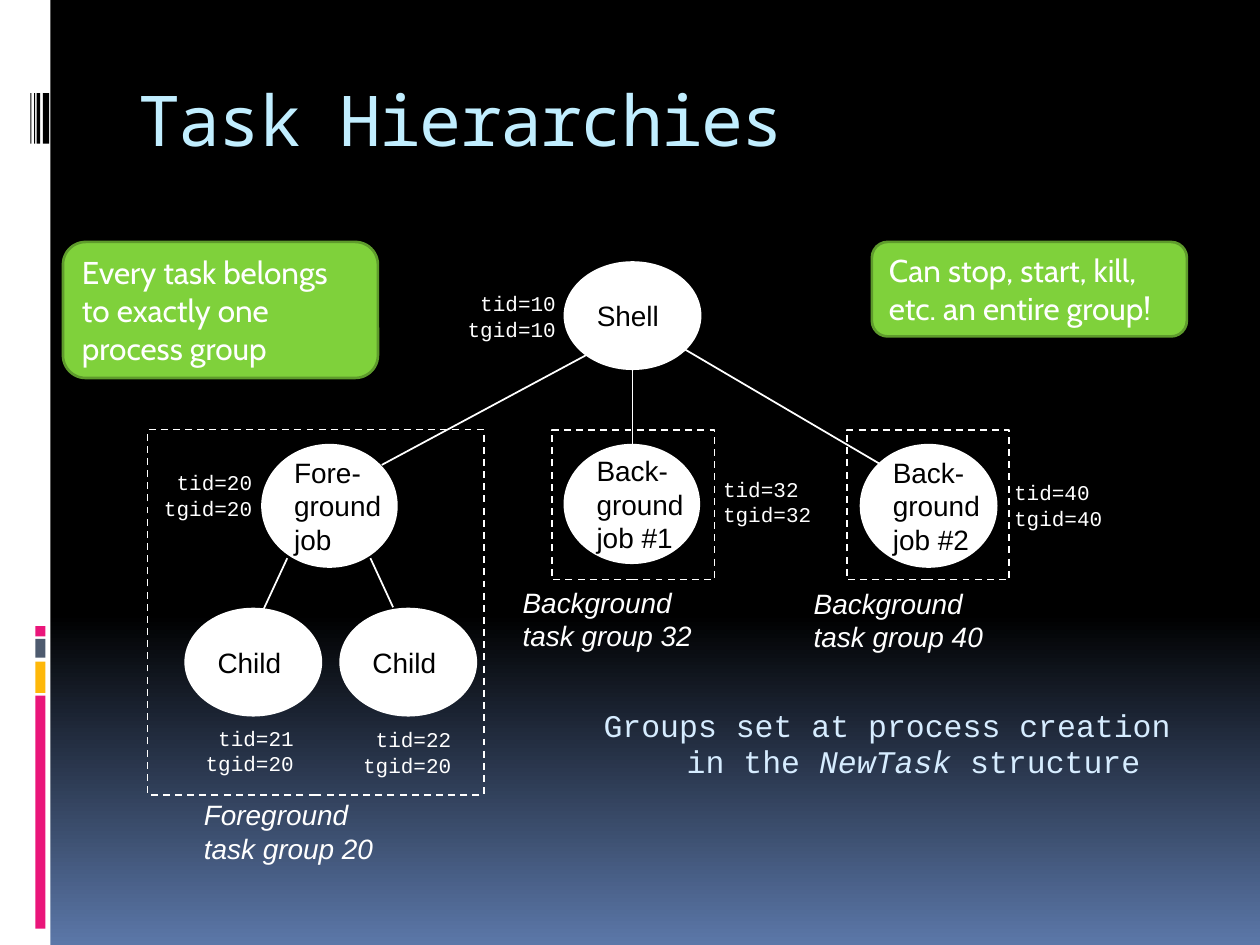
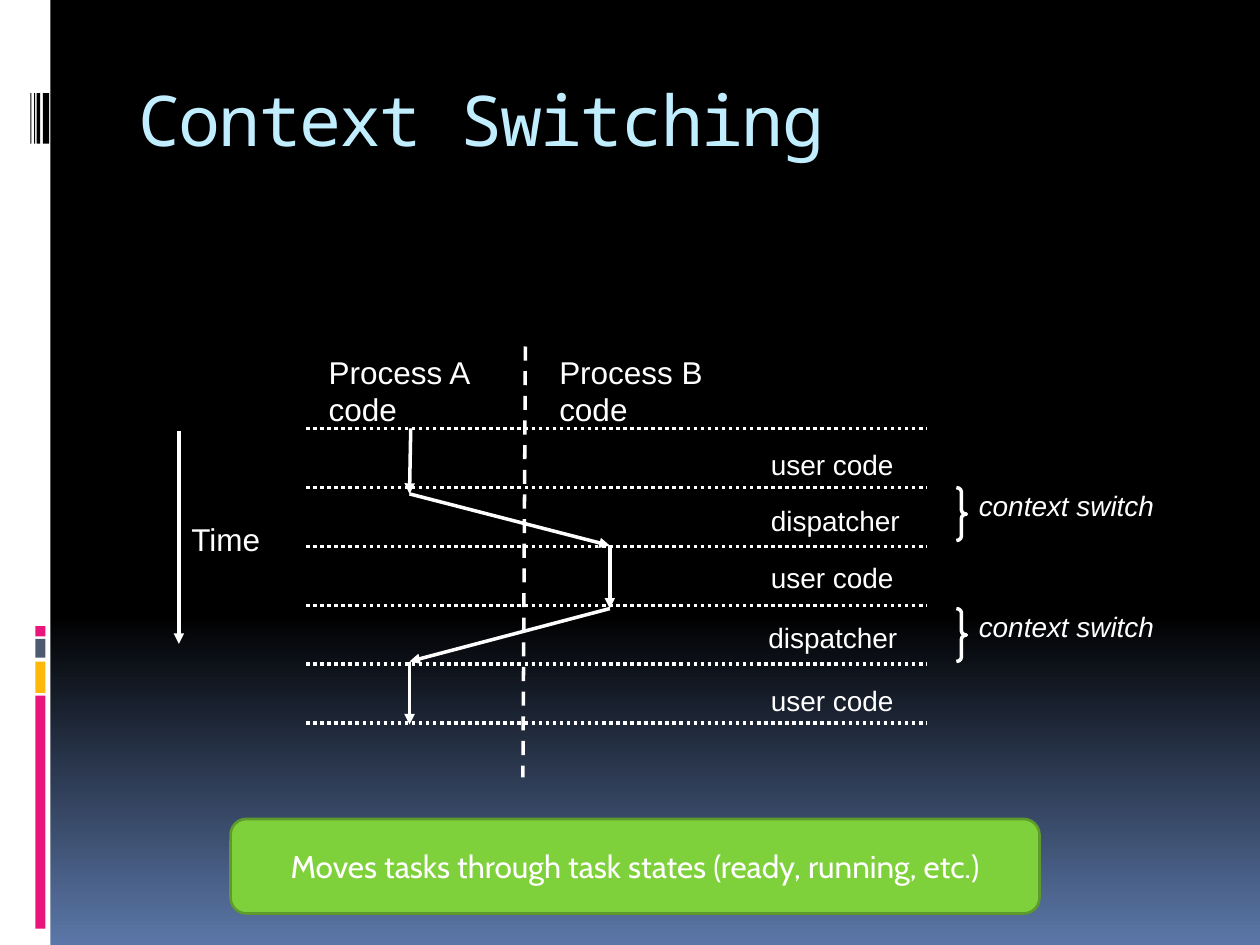
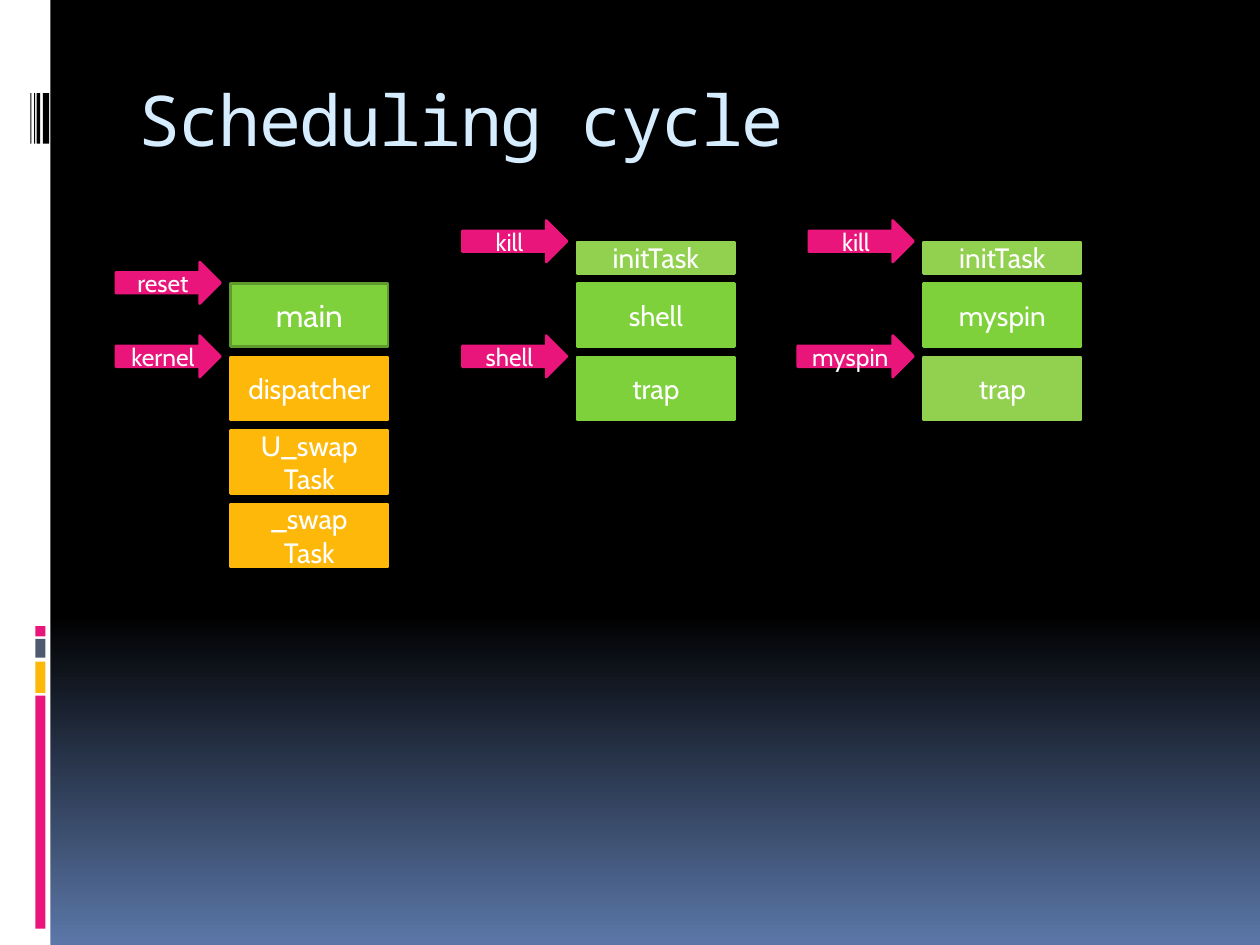
from dataclasses import dataclass, field, replace

from lxml import etree
from pptx import Presentation
from pptx.dml.color import RGBColor
from pptx.enum.dml import MSO_LINE
from pptx.enum.shapes import MSO_CONNECTOR, MSO_SHAPE
from pptx.enum.text import MSO_ANCHOR, MSO_AUTO_SIZE, PP_ALIGN
from pptx.oxml.ns import qn
from pptx.util import Inches, Pt

RECT = MSO_SHAPE.RECTANGLE
ROUND_RECT = MSO_SHAPE.ROUNDED_RECTANGLE
ELLIPSE = MSO_SHAPE.OVAL
ARROW = MSO_SHAPE.RIGHT_ARROW
BRACE = MSO_SHAPE.RIGHT_BRACE
STRAIGHT = MSO_CONNECTOR.STRAIGHT
DASH = MSO_LINE.DASH
DOTS = MSO_LINE.ROUND_DOT
LEFT, CENTER, RIGHT = PP_ALIGN.LEFT, PP_ALIGN.CENTER, PP_ALIGN.RIGHT
TOP, MIDDLE = MSO_ANCHOR.TOP, MSO_ANCHOR.MIDDLE
GROW = MSO_AUTO_SIZE.SHAPE_TO_FIT_TEXT

WHITE = RGBColor(0xFF, 0xFF, 0xFF)
BLACK = RGBColor(0x00, 0x00, 0x00)
BLUE = RGBColor(0x5B, 0x77, 0xA8)
PALE_BLUE = RGBColor(0xD6, 0xEC, 0xFF)
SKY = RGBColor(0xC1, 0xEE, 0xFF)
SLATE = RGBColor(0x4E, 0x5B, 0x6F)
PINK = RGBColor(0xEA, 0x15, 0x7A)
AMBER = RGBColor(0xFE, 0xB8, 0x0A)
GREEN = RGBColor(0x7F, 0xD1, 0x3B)
DARK_GREEN = RGBColor(0x5E, 0x9B, 0x2C)
LIME = RGBColor(0x92, 0xD0, 0x50)


@dataclass
class TextStyle:
    name: str
    size: int
    colour: RGBColor = WHITE
    italic: bool = False
    paragraph: dict = field(default_factory=lambda: {"alignment": LEFT})
    frame: dict = field(default_factory=lambda: {"word_wrap": True, "vertical_anchor": MIDDLE})


CENTRED = {"alignment": CENTER}
FITTED = {"word_wrap": False, "vertical_anchor": TOP, "auto_size": GROW}
FITTED_MIDDLE = {**FITTED, "vertical_anchor": MIDDLE}
WRAPPED = {"word_wrap": True, "vertical_anchor": TOP}

TITLE = TextStyle("Noto Sans Mono", 40, SKY, frame=WRAPPED)
NODE = TextStyle("Arial", 16, BLACK, frame={"word_wrap": False, "vertical_anchor": MIDDLE})
GROUP = TextStyle("Arial", 16, italic=True, frame=FITTED_MIDDLE)
IDS = TextStyle("Courier New", 12, frame=FITTED_MIDDLE)
IDS_RIGHT = replace(IDS, paragraph={"alignment": RIGHT})
NOTE = TextStyle("Courier New", 18, PALE_BLUE, frame=WRAPPED,
                 paragraph={"alignment": CENTER, "line_spacing": 0.95})
CALLOUT = TextStyle("Cabin", 18)
CALLOUT_CENTRED = replace(CALLOUT, paragraph=CENTRED)
BLOCK = replace(CALLOUT_CENTRED, size=16)
POINTER = replace(CALLOUT_CENTRED, size=14)
HEADING = TextStyle("Arial", 18, frame=FITTED)
STEP = replace(HEADING, size=16)
SWITCH = replace(STEP, italic=True)


def assign(target, values):
    for name, value in values.items():
        setattr(target, name, value)


class Deck:
    BANDS = [
        (0, 0, 0.4, 7.5, WHITE),
        (0.28, 5.52, 0.08, 1.85, PINK),
        (0.28, 5.25, 0.08, 0.25, AMBER),
        (0.28, 5.07, 0.08, 0.15, SLATE),
        (0.28, 4.97, 0.08, 0.08, PINK),
        (0.34, 0.74, 0.05, 0.4, BLACK),
        (0.29, 0.74, 0.03, 0.4, BLACK),
        (0.27, 0.74, 0.01, 0.4, BLACK),
        (0.24, 0.74, 0.01, 0.4, BLACK),
    ]

    def __init__(self):
        self.presentation = Presentation()
        assign(self.presentation, {"slide_width": Inches(10), "slide_height": Inches(7.5)})
        self.slide = None

    def new_slide(self, title, colour=SKY):
        self.slide = self.presentation.slides.add_slide(self.presentation.slide_layouts[6])
        backdrop = self.slide.background.fill
        backdrop.gradient()
        backdrop.gradient_angle = 270
        for stop, (position, shade) in zip(backdrop.gradient_stops, [(0.65, BLACK), (1, BLUE)]):
            stop.position = position
            stop.color.rgb = shade
        for *place, fill in self.BANDS:
            self.shape(RECT, place, fill)
        heading = self.text((1, 0.56, 8.5, 1), [title], replace(TITLE, colour=colour))
        heading.paragraphs[0].runs[0].font._element.set("spc", "-100")

    def fill_text(self, frame, lines, style):
        assign(frame, style.frame)
        for number, line in enumerate(lines):
            paragraph = frame.add_paragraph() if number else frame.paragraphs[0]
            assign(paragraph, style.paragraph)
            runs = [(line, style.italic)] if isinstance(line, str) else line
            for words, italic in runs:
                run = paragraph.add_run()
                run.text = words
                assign(run.font, {"name": style.name, "size": Pt(style.size), "italic": italic})
                run.font.color.rgb = style.colour
        return frame

    def text(self, place, lines, style):
        box = self.slide.shapes.add_textbox(*map(Inches, place))
        return self.fill_text(box.text_frame, lines, style)

    def stroke(self, line, colour, weight, dash=None):
        line.color.rgb = colour
        assign(line, {"width": Pt(weight), "dash_style": dash})

    def shape(self, kind, place, fill=None, edge=None, weight=1.0, dash=None,
              lines=(), style=None, adjust=()):
        shape = self.slide.shapes.add_shape(kind, *map(Inches, place))
        shape.shadow.inherit = False
        for number, value in enumerate(adjust):
            shape.adjustments[number] = value
        if fill is None:
            shape.fill.background()
        else:
            shape.fill.solid()
            shape.fill.fore_color.rgb = fill
        if edge is None:
            shape.line.fill.background()
        else:
            self.stroke(shape.line, edge, weight, dash)
        if lines:
            self.fill_text(shape.text_frame, lines, style)

    def line(self, start, end, weight=1, dash=None, arrow=False):
        connector = self.slide.shapes.add_connector(STRAIGHT, *map(Inches, (*start, *end)))
        self.stroke(connector.line, WHITE, weight, dash)
        properties = connector._element.spPr
        if arrow:
            etree.SubElement(properties.find(qn("a:ln")), qn("a:tailEnd"), type="triangle")
        etree.SubElement(properties, qn("a:effectLst"))

    def node(self, place, lines):
        self.shape(ELLIPSE, place, WHITE, WHITE, lines=lines, style=NODE)

    def task_ids(self, left, top, task, group, style=IDS_RIGHT):
        self.text((left, top, 0.91, 0.5), [f"tid={task}", f"tgid={group}"], style)

    def task_group(self, frame, left, top, kind, number):
        self.shape(RECT, frame, edge=WHITE, dash=DASH)
        self.text((left, top, 1.56, 0.64), [kind, f"task group {number}"], GROUP)

    def callout(self, place, words, style=CALLOUT):
        self.shape(ROUND_RECT, place, GREEN, DARK_GREEN, 1.5, lines=[words], style=style)

    def block(self, place, fill, lines, edge=None, style=BLOCK):
        self.shape(RECT, place, fill, edge or fill, 1.5, lines=lines, style=style)

    def pointer(self, right, top, words, width=0.83):
        self.shape(ARROW, (right - width, top, width, 0.33), PINK, PINK, 1.5,
                   lines=[words], style=POINTER)


def task_hierarchies(deck):
    deck.new_slide("Task Hierarchies")
    for place, lines in [
        ((2.08, 3.53, 1.07, 0.97), ["Fore-", "ground", "job"]),
        ((4.48, 3.53, 1.07, 0.94), ["Back-", "ground", "job #1"]),
        ((6.83, 3.53, 1.08, 0.97), ["Back-", "ground", "job #2"]),
        ((4.48, 2.08, 1.08, 0.85), ["Shell"]),
        ((1.47, 4.83, 1.08, 0.85), ["Child"]),
        ((2.7, 4.83, 1.08, 0.85), ["Child"]),
    ]:
        deck.node(place, lines)
    for parent, child in [
        ((2.28, 4.43), (2.09, 4.84)),
        ((2.94, 4.43), (3.12, 4.82)),
        ((5.02, 2.92), (5.02, 3.53)),
        ((4.65, 2.82), (3.03, 3.69)),
        ((5.43, 2.77), (6.98, 3.68)),
    ]:
        deck.line(parent, child)
    deck.task_group((1.17, 3.41, 2.67, 2.9), 1.52, 6.28, "Foreground", 20)
    deck.task_group((4.38, 3.41, 1.29, 1.19), 4.05, 4.59, "Background", 32)
    deck.task_group((6.72, 3.41, 1.29, 1.19), 6.36, 4.6, "Background", 40)
    deck.task_ids(3.6, 2.26, 10, 10)
    deck.task_ids(1.19, 3.68, 20, 20)
    deck.task_ids(5.64, 3.73, 32, 32, IDS)
    deck.task_ids(7.95, 3.76, 40, 40, IDS)
    deck.task_ids(1.52, 5.71, 21, 20)
    deck.task_ids(2.77, 5.72, 22, 20)

    creation = [("Groups set at process creation in the ", False),
                ("NewTask", True), (" structure", False)]
    note = deck.text((4.58, 5.58, 4.92, 1.5), [creation], NOTE)
    properties = note.paragraphs[0]._p.get_or_add_pPr()
    for name, indent in {"marL": 0.42, "indent": -0.42}.items():
        properties.set(name, str(Inches(indent)))
    before = etree.SubElement(properties, qn("a:spcBef"))
    etree.SubElement(before, qn("a:spcPct"), val="50000")

    deck.callout((0.5, 1.92, 2.5, 1.08), "Every task belongs to exactly one process group")
    deck.callout((6.92, 1.92, 2.5, 0.75), "Can stop, start, kill, etc. an entire group!")


def context_switching(deck):
    deck.new_slide("Context Switching")
    for left, process in [(2.51, "Process A"), (4.34, "Process B")]:
        deck.text((left, 2.75, 1.42, 0.7), [process, "code"], HEADING)
    flow = [(3.25, 3.92), (4.84, 4.33), (4.84, 4.83), (3.25, 5.25), (3.25, 5.75)]
    for start, end in zip([(3.26, 3.4)] + flow, flow):
        deck.line(start, end, 2, arrow=True)
    deck.line((4.17, 2.75), (4.15, 6.17), 2, DASH)
    for left, top, step in [
        (6.02, 3.5, "user code"),
        (6.02, 3.95, "dispatcher"),
        (6.02, 4.4, "user code"),
        (6, 4.88, "dispatcher"),
        (6.02, 5.38, "user code"),
    ]:
        deck.text((left, top, 1.25, 0.37), [step], STEP)
    first, last, intervals = 3.4, 5.74, 5
    for number in range(intervals + 1):
        moment = first + number * (last - first) / intervals
        deck.line((2.43, moment), (7.35, moment), 2, DOTS)
    deck.line((1.42, 3.42), (1.42, 5.11), 2, arrow=True)
    deck.text((1.42, 4.08, 0.78, 0.4), ["Time"], HEADING)
    for top in (3.87, 4.83):
        deck.shape(BRACE, (7.59, top, 0.08, 0.42), edge=WHITE, weight=2, adjust=(0.42, 0.5))
        deck.text((7.67, top - 0.04, 1.74, 0.37), ["context switch"], SWITCH)
    deck.callout((1.83, 6.5, 6.42, 0.75),
                 "Moves tasks through task states (ready, running, etc.)", CALLOUT_CENTRED)


def scheduling_cycle(deck):
    deck.new_slide("Scheduling cycle", PALE_BLUE)
    kernel, shell, myspin = (1.83 + 2.75 * column for column in range(3))
    rows = [2.25 + 1.75 * row / 3 for row in range(4)]
    width, height, gap, rise = 1.25, 0.5, 0.08, 0.17

    deck.block((kernel, rows[0], width, height), GREEN, ["main"], DARK_GREEN, CALLOUT_CENTRED)
    for left, row, fill, lines in [
        (kernel, 1, AMBER, ["dispatcher"]),
        (kernel, 2, AMBER, ["U_swap", "Task"]),
        (kernel, 3, AMBER, ["_swap", "Task"]),
        (shell, 0, GREEN, ["shell"]),
        (shell, 1, GREEN, ["trap"]),
        (myspin, 0, GREEN, ["myspin"]),
        (myspin, 1, LIME, ["trap"]),
    ]:
        deck.block((left, rows[row], width, height), fill, lines)

    deck.pointer(kernel - gap, rows[0] - rise, "reset")
    deck.pointer(kernel - gap, rows[1] - rise, "kernel")
    deck.pointer(shell - gap, rows[1] - rise, "shell")
    deck.pointer(myspin - gap, rows[1] - rise, "myspin", 0.92)
    for left in (shell, myspin):
        deck.block((left, 1.92, width, 0.25), LIME, ["initTask"])
        deck.pointer(left - gap, 1.92 - rise, "kill")


deck = Deck()
task_hierarchies(deck)
context_switching(deck)
scheduling_cycle(deck)
deck.presentation.save("out.pptx")
